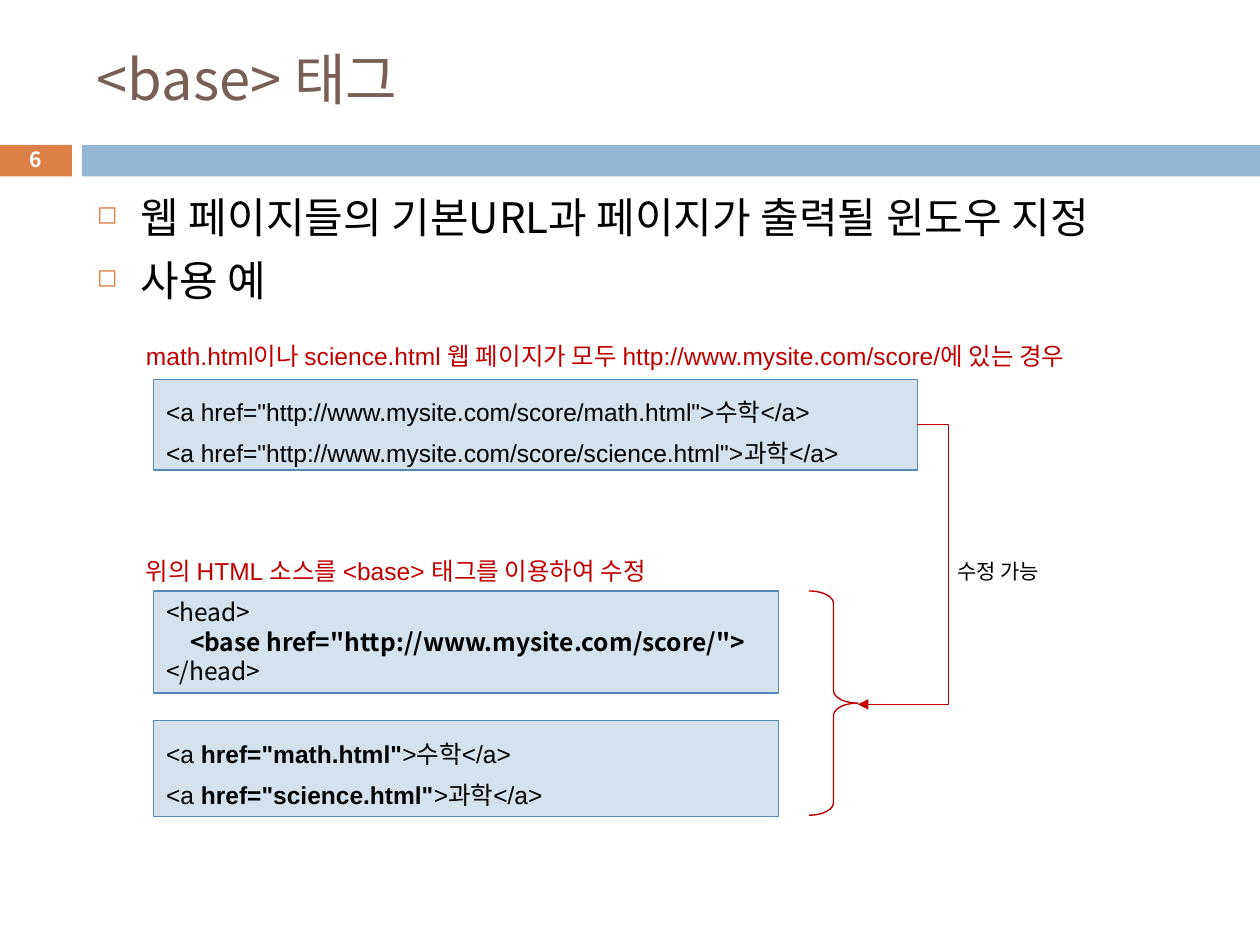
from dataclasses import dataclass

from lxml.etree import SubElement
from pptx import Presentation
from pptx.dml.color import RGBColor
from pptx.enum.shapes import MSO_CONNECTOR, MSO_SHAPE
from pptx.enum.text import MSO_ANCHOR, PP_ALIGN
from pptx.oxml.ns import qn
from pptx.util import Inches, Pt


@dataclass(frozen=True)
class Theme:
    brown: str = "775F55"
    orange: str = "DD8047"
    blue: str = "94B6D2"
    pale: str = "D4E2ED"
    edge: str = "558BB8"
    red: str = "C00000"
    black: str = "000000"
    white: str = "FFFFFF"
    sans: str = "Arial"
    korean: str = "Noto Sans CJK KR"
    title: float = 32
    body: float = 24
    code: float = 14
    note: float = 12
    thin: float = 0.79


def color(value):
    return RGBColor.from_string(value)


class SlideBuilder:
    def __init__(self, slide, theme):
        self.slide = slide
        self.theme = theme

    def shape(self, kind, at, fill=None, line=None, width=0.75):
        shape = self.slide.shapes.add_shape(kind, *map(Inches, at))
        shape.shadow.inherit = False
        if fill:
            shape.fill.solid()
            shape.fill.fore_color.rgb = color(fill)
        else:
            shape.fill.background()
        if line:
            shape.line.color.rgb = color(line)
            shape.line.width = Pt(width)
        else:
            shape.line.fill.background()
        return shape

    def fill_text(self, shape, lines, size, font, ink, spacing=None,
                  anchor=MSO_ANCHOR.TOP, align=PP_ALIGN.LEFT, wrap=True):
        """Fill a shape with lines, each a list of (text, bold) runs."""
        frame = shape.text_frame
        frame.word_wrap = wrap
        frame.vertical_anchor = anchor
        for number, line in enumerate(lines):
            para = frame.add_paragraph() if number else frame.paragraphs[0]
            para.alignment = align
            if spacing:
                para.line_spacing = spacing
            for text, bold in line:
                span = para.add_run()
                span.text = text
                span.font.size = Pt(size)
                span.font.name = font
                span.font.bold = bold
                span.font.color.rgb = color(ink)
                east_asian = SubElement(span.font._element, qn("a:ea"))
                east_asian.set("typeface", self.theme.korean)
        return frame

    def text(self, at, lines, size, font, ink, **options):
        box = self.slide.shapes.add_textbox(*map(Inches, at))
        return self.fill_text(box, lines, size, font, ink, **options)

    def bullets(self, at, lines):
        theme = self.theme
        frame = self.text(at, lines, theme.body, theme.korean, theme.black)
        for para in frame.paragraphs:
            para.space_before = Pt(7)
            properties = para._p.get_or_add_pPr()
            properties.set("marL", str(Inches(0.35)))
            properties.set("indent", str(Inches(-0.35)))
            bullet_color = SubElement(properties, qn("a:buClr"))
            SubElement(bullet_color, qn("a:srgbClr")).set("val", theme.orange)
            SubElement(properties, qn("a:buSzPct")).set("val", "60000")
            SubElement(properties, qn("a:buChar")).set("char", "◻")

    def code(self, at, lines, font, spacing=None):
        theme = self.theme
        box = self.shape(MSO_SHAPE.RECTANGLE, at, theme.pale, theme.edge)
        return self.fill_text(box, lines, theme.code, font, theme.black, spacing)

    def caption(self, at, text):
        theme = self.theme
        self.text(at, [[(text, False)]], theme.code, theme.sans, theme.red, spacing=1.6)

    def elbow_arrow(self, start, end, bend):
        """Draw an elbow arrow whose middle leg lies at bend times its width."""
        arrow = self.slide.shapes.add_connector(
            MSO_CONNECTOR.ELBOW, *map(Inches, start + end))
        arrow.line.color.rgb = color(self.theme.red)
        arrow.line.width = Pt(self.theme.thin)
        properties = arrow._element.spPr
        outline = properties.find(qn("a:ln"))
        SubElement(outline, qn("a:tailEnd")).set("type", "triangle")
        SubElement(properties, qn("a:effectLst"))
        geometry = properties.find(qn("a:prstGeom"))
        guides = geometry.find(qn("a:avLst"))
        if guides is None:
            guides = SubElement(geometry, qn("a:avLst"))
        guide = SubElement(guides, qn("a:gd"))
        guide.set("name", "adj1")
        guide.set("fmla", f"val {round(bend * 100000)}")


def main():
    deck = Presentation()
    deck.slide_width, deck.slide_height = Inches(10), Inches(7.5)
    theme = Theme()
    page = SlideBuilder(deck.slides.add_slide(deck.slide_layouts[6]), theme)

    page.shape(MSO_SHAPE.RECTANGLE, (-0.01, 1.15, 0.58, 0.25), theme.orange)
    page.shape(MSO_SHAPE.RECTANGLE, (0.65, 1.15, 9.35, 0.25), theme.blue)
    page.text((0.67, 0.25, 8.92, 0.74), [[("<base> 태그", False)]],
              theme.title, theme.korean, theme.brown, anchor=MSO_ANCHOR.MIDDLE)
    page.bullets((0.67, 1.47, 8.92, 5.51), [
        [("웹 페이지들의 기본URL과 페이지가 출력될 윈도우 지정", False)],
        [("사용 예", False)],
    ])
    page.text((-0.01, 1.13, 0.58, 0.27), [[("6", True)]],
              theme.note, theme.korean, theme.white,
              anchor=MSO_ANCHOR.MIDDLE, align=PP_ALIGN.CENTER)

    subjects = [("math", "수학"), ("science", "과학")]
    page.code((1.22, 3.01, 6.06, 0.72), [
        [(f'<a href="http://www.mysite.com/score/{name}.html">{label}</a>', False)]
        for name, label in subjects
    ], theme.sans, 1.4)
    head = page.code((1.22, 4.69, 4.96, 0.81), [
        [("<head>", False)],
        [('<base href="http://www.mysite.com/score/">', True)],
        [("</head>", False)],
    ], theme.korean)
    head.paragraphs[1]._p.get_or_add_pPr().set("marL", str(Inches(0.19)))
    page.code((1.22, 5.72, 4.96, 0.76), [
        [("<a ", False), (f'href="{name}.html"', True), (f">{label}</a>", False)]
        for name, label in subjects
    ], theme.sans, 1.4)

    page.caption((1.06, 2.52, 8.35, 0.43),
                 "math.html이나 science.html 웹 페이지가 모두 "
                 "http://www.mysite.com/score/에 있는 경우")
    page.caption((1.06, 4.22, 8.35, 0.48),
                 "위의 HTML 소스를 <base> 태그를 이용하여 수정")

    brace = page.shape(MSO_SHAPE.RIGHT_BRACE, (6.42, 4.69, 0.39, 1.78),
                       line=theme.red, width=theme.thin)
    brace.adjustments[0] = 0.25
    page.elbow_arrow((7.28, 3.37), (6.81, 5.59), -0.53)
    page.text((7.5, 4.38, 0.93, 0.3), [[("수정 가능", False)]],
              theme.note, theme.korean, theme.black, wrap=False)

    deck.save("out.pptx")


if __name__ == "__main__":
    main()
